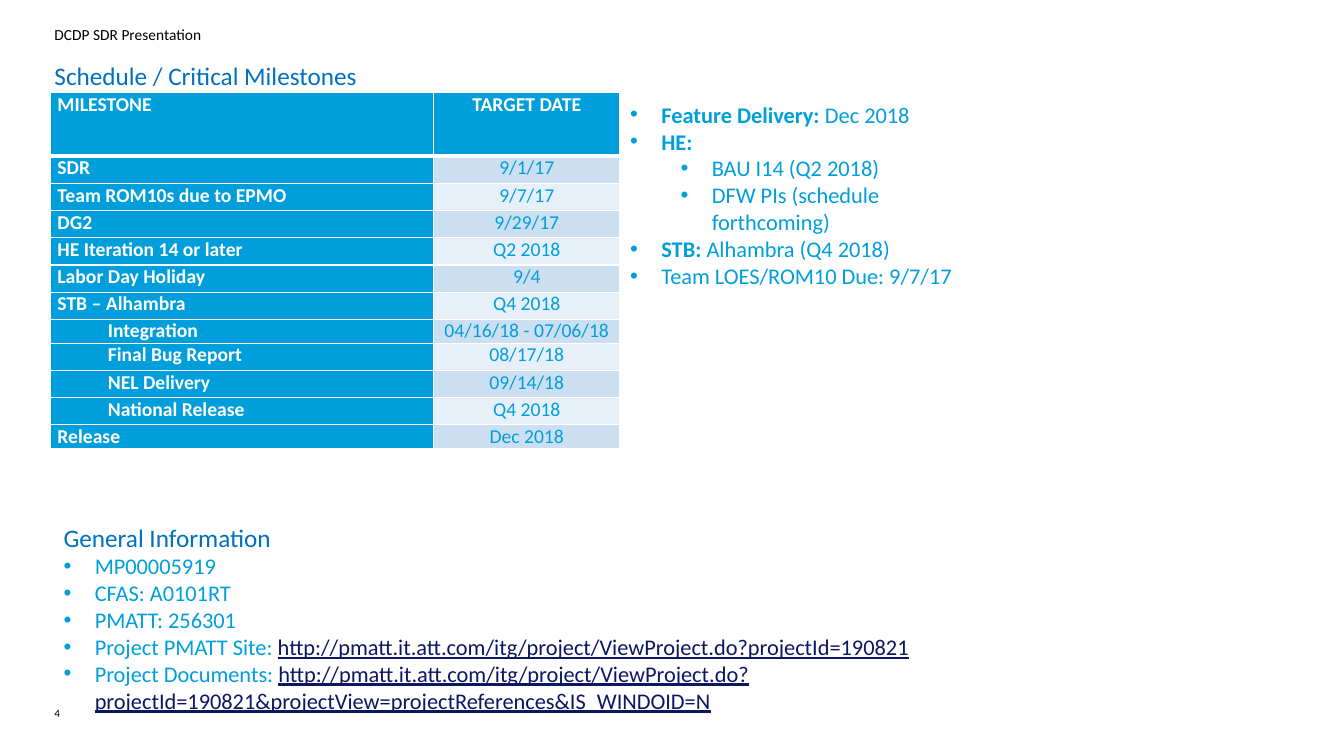
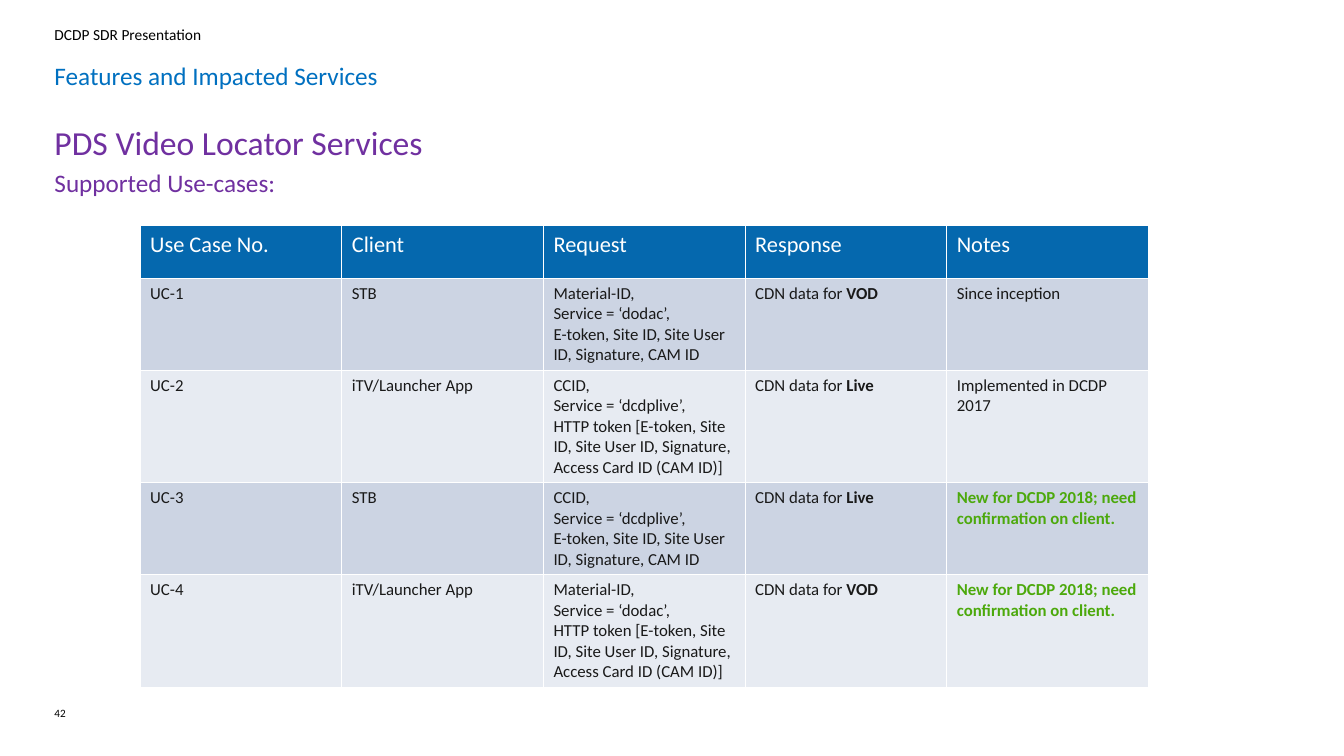
from dataclasses import dataclass

from lxml.etree import SubElement
from pptx import Presentation
from pptx.dml.color import RGBColor
from pptx.enum.text import MSO_ANCHOR, MSO_AUTO_SIZE, PP_ALIGN
from pptx.oxml.ns import qn
from pptx.util import Inches, Pt

FONT = "Calibri"
COLORS = {
    "black": "000000", "white": "FFFFFF", "title": "0070C0", "cyan": "009FDB",
    "link": "0B1763", "purple": "7030A0", "navy": "0568AE", "ink": "191919",
    "green": "4CA90C", "cyan_dark": "CCDFF1", "cyan_light": "E7F0F8",
    "navy_dark": "CCD4E3", "navy_light": "E7EBF2",
}
HEADER = "DCDP SDR Presentation"
LEFT, WIDTH = 0.54, 12.26
HANG, STEP = 0.31, 0.5


@dataclass
class Line:
    runs: list
    left: float = 0
    bullet: bool = False


def bold(text):
    return text, {"bold": True}


def link(text):
    return text, {"color": "link", "underline": True}


def bullet(*runs, level=0):
    return Line(list(runs), HANG + STEP * level, True)


MILESTONES = [
    ("SDR", "9/1/17", 0),
    ("Team ROM10s due to EPMO", "9/7/17", 0),
    ("DG2", "9/29/17", 0),
    ("HE Iteration 14 or later", "Q2 2018", 0),
    ("Labor Day Holiday", "9/4", 0),
    ("STB – Alhambra", "Q4 2018", 0),
    ("Integration", "04/16/18 - 07/06/18", 1),
    ("Final Bug Report", "08/17/18", 1),
    ("NEL Delivery", "09/14/18", 1),
    ("National Release", "Q4 2018", 1),
    ("Release", "Dec 2018", 0),
]
SHORT_ROWS = ("Integration", "Release")

DELIVERY = [
    bullet(bold("Feature Delivery: "), "Dec 2018"),
    bullet(bold("HE:")),
    bullet("BAU I14 (Q2 2018)", level=1),
    bullet("DFW PIs (schedule forthcoming)", level=1),
    bullet(bold("STB: "), "Alhambra (Q4 2018)"),
    bullet("Team LOES/ROM10 Due: 9/7/17"),
]
GENERAL = [
    Line([("General Information", {"size": 18, "color": "title"})]),
    bullet("MP00005919"),
    bullet("CFAS: A0101RT"),
    bullet("PMATT: 256301"),
    bullet("Project PMATT Site: ",
           link("http://pmatt.it.att.com/itg/project/ViewProject.do?projectId=190821")),
    bullet("Project Documents: ",
           link("http://pmatt.it.att.com/itg/project/ViewProject.do?projectId=190821"
                "&projectView=projectReferences&IS_WINDOID=N")),
]

SERVICES = [
    Line([("PDS Video Locator Services", {"size": 24})]),
    Line(["Supported Use-cases:"]),
]
USE_CASE_HEADS = ["Use Case No.", "Client", "Request", "Response", "Notes"]
TOKENS = {
    "STB": "E-token, Site ID, Site User ID, Signature, CAM ID",
    "iTV/Launcher App": "HTTP token [E-token, Site ID, Site User ID, Signature, "
                        "Access Card ID (CAM ID)]",
}
REQUESTS = {
    "VOD": ["Material-ID,", "Service = ‘dodac’,"],
    "Live": ["CCID,", "Service = ‘dcdplive’,"],
}
NEW_NOTE = ("New for DCDP 2018; need confirmation on client.",
            {"bold": True, "color": "green"})
USE_CASES = [
    ("STB", "VOD", "Since inception"),
    ("iTV/Launcher App", "Live", "Implemented in DCDP 2017"),
    ("STB", "Live", NEW_NOTE),
    ("iTV/Launcher App", "VOD", NEW_NOTE),
]
ROW_HEIGHTS = {"STB": 0.91, "iTV/Launcher App": 1.11}


def write(frame, lines, size, color, align=PP_ALIGN.LEFT, weight=False,
          spacing=1.0, after=0):
    for index, line in enumerate(lines):
        para = frame.add_paragraph() if index else frame.paragraphs[0]
        properties = para._p.get_or_add_pPr()
        properties.set("marL", str(Inches(line.left)))
        properties.set("indent", str(Inches(-HANG if line.bullet else 0)))
        if line.bullet:
            SubElement(properties, qn("a:buFont")).set("typeface", "Arial")
            SubElement(properties, qn("a:buChar")).set("char", "•")
        else:
            SubElement(properties, qn("a:buNone"))
        para.alignment = align
        para.line_spacing = spacing
        para.space_before = Pt(0)
        para.space_after = Pt(after)
        for item in line.runs:
            text, style = (item, {}) if isinstance(item, str) else item
            span = para.add_run()
            span.text = text
            span.font.name = FONT
            span.font.size = Pt(style.get("size", size))
            span.font.bold = style.get("bold", weight)
            span.font.underline = style.get("underline", False)
            span.font.color.rgb = RGBColor.from_string(COLORS[style.get("color", color)])


def place(box, left, top, width, height, inset=(0, 0)):
    box.left, box.top = Inches(left), Inches(top)
    box.width, box.height = Inches(width), Inches(height)
    frame = box.text_frame
    frame.word_wrap = True
    frame.auto_size = MSO_AUTO_SIZE.NONE
    frame.vertical_anchor = MSO_ANCHOR.TOP
    frame.margin_left = frame.margin_right = Inches(inset[0])
    frame.margin_top = frame.margin_bottom = Inches(inset[1])
    return frame


def add_page(deck, layout, title, number):
    page = deck.slides.add_slide(deck.slide_layouts.get_by_name(layout))
    for text, size, spacing, area in [
        (HEADER, 11, 1.0, (LEFT, 0.25, WIDTH, 0.2)),
        (str(number), 8, Pt(10), (LEFT, 7, 0.32, 0.25)),
    ]:
        box = page.shapes.add_textbox(0, 0, 0, 0)
        write(place(box, *area), [Line([text])], size, "black", spacing=spacing)
    frame = place(page.shapes.title, LEFT, 0.57, WIDTH, 0.37)
    write(frame, [Line([title])], 18, "title", spacing=1.1, after=10)
    return page


def add_grid(page, left, top, widths, heights):
    shape = page.shapes.add_table(len(heights), len(widths), Inches(left), Inches(top),
                                  Inches(sum(widths)), Inches(sum(heights)))
    table = shape.table
    for column, width in zip(table.columns, widths):
        column.width = Inches(width)
    for row, height in zip(table.rows, heights):
        row.height = Inches(height)
    return table


def fill_cell(cell, lines, fill, size, color, inset=(0.1, 0.05), top=1, bottom=1, **style):
    cell.margin_left = cell.margin_right = Inches(inset[0])
    cell.margin_top = cell.margin_bottom = Inches(inset[1])
    properties = cell._tc.get_or_add_tcPr()
    for edge, points in (("L", 1), ("R", 1), ("T", top), ("B", bottom)):
        border = SubElement(properties, qn(f"a:ln{edge}"), w=str(Pt(points)))
        solid = SubElement(border, qn("a:solidFill"))
        SubElement(solid, qn("a:srgbClr"), val=COLORS["white"])
    cell.fill.solid()
    cell.fill.fore_color.rgb = RGBColor.from_string(COLORS[fill])
    write(cell.text_frame, lines, size, color, **style)


def build_schedule(deck):
    page = add_page(deck, "Two Content", "Schedule / Critical Milestones", 4)
    heights = [0.63] + [0.23 if name in SHORT_ROWS else 0.27 for name, _, _ in MILESTONES]
    table = add_grid(page, 0.5, 0.92, [3.8, 1.85], heights)
    for index, (name, date, level) in enumerate([("MILESTONE", "TARGET DATE", 0)] + MILESTONES):
        heading = index == 0
        shared = {"size": 14, "inset": (0.07, 0),
                  "top": 3 if index == 1 else 1, "bottom": 3 if heading else 1}
        band = "cyan_dark" if index % 2 else "cyan_light"
        fill_cell(table.cell(index, 0), [Line([name], STEP * level)], "cyan",
                  color="white", weight=True, **shared)
        fill_cell(table.cell(index, 1), [Line([date])], "cyan" if heading else band,
                  color="white" if heading else "cyan", weight=heading,
                  align=PP_ALIGN.CENTER, **shared)
    for key, lines, area in [
        (1, DELIVERY, (6.15, 0.95, 3.45, 1.99)),
        (2, GENERAL, (0.53, 5.13, 10.52, 2.29)),
    ]:
        write(place(page.placeholders[key], *area, inset=(0.1, 0.05)), lines, 16, "cyan")


def build_services(deck):
    page = add_page(deck, "Title and Content", "Features and Impacted Services", 42)
    frame = place(page.placeholders[1], LEFT, 1.25, WIDTH, 5.26)
    write(frame, SERVICES, 18, "purple", spacing=0.9, after=6)
    heights = [0.52] + [ROW_HEIGHTS[client] for client, _, _ in USE_CASES]
    table = add_grid(page, 1.39, 2.24, [2] * len(USE_CASE_HEADS), heights)
    for column, head in enumerate(USE_CASE_HEADS):
        fill_cell(table.cell(0, column), [Line([head])], "navy", 16, "white")
    for index, (client, kind, note) in enumerate(USE_CASES, 1):
        request = REQUESTS[kind] + [TOKENS[client]]
        cells = [
            [Line([f"UC-{index}"])],
            [Line([client])],
            [Line([text]) for text in request],
            [Line(["CDN data for ", bold(kind)])],
            [Line([note])],
        ]
        band = "navy_dark" if index % 2 else "navy_light"
        for column, lines in enumerate(cells):
            fill_cell(table.cell(index, column), lines, band, 12, "ink")


def main():
    deck = Presentation()
    deck.slide_width, deck.slide_height = Inches(13.33), Inches(7.5)
    build_schedule(deck)
    build_services(deck)
    deck.save("out.pptx")


if __name__ == "__main__":
    main()
